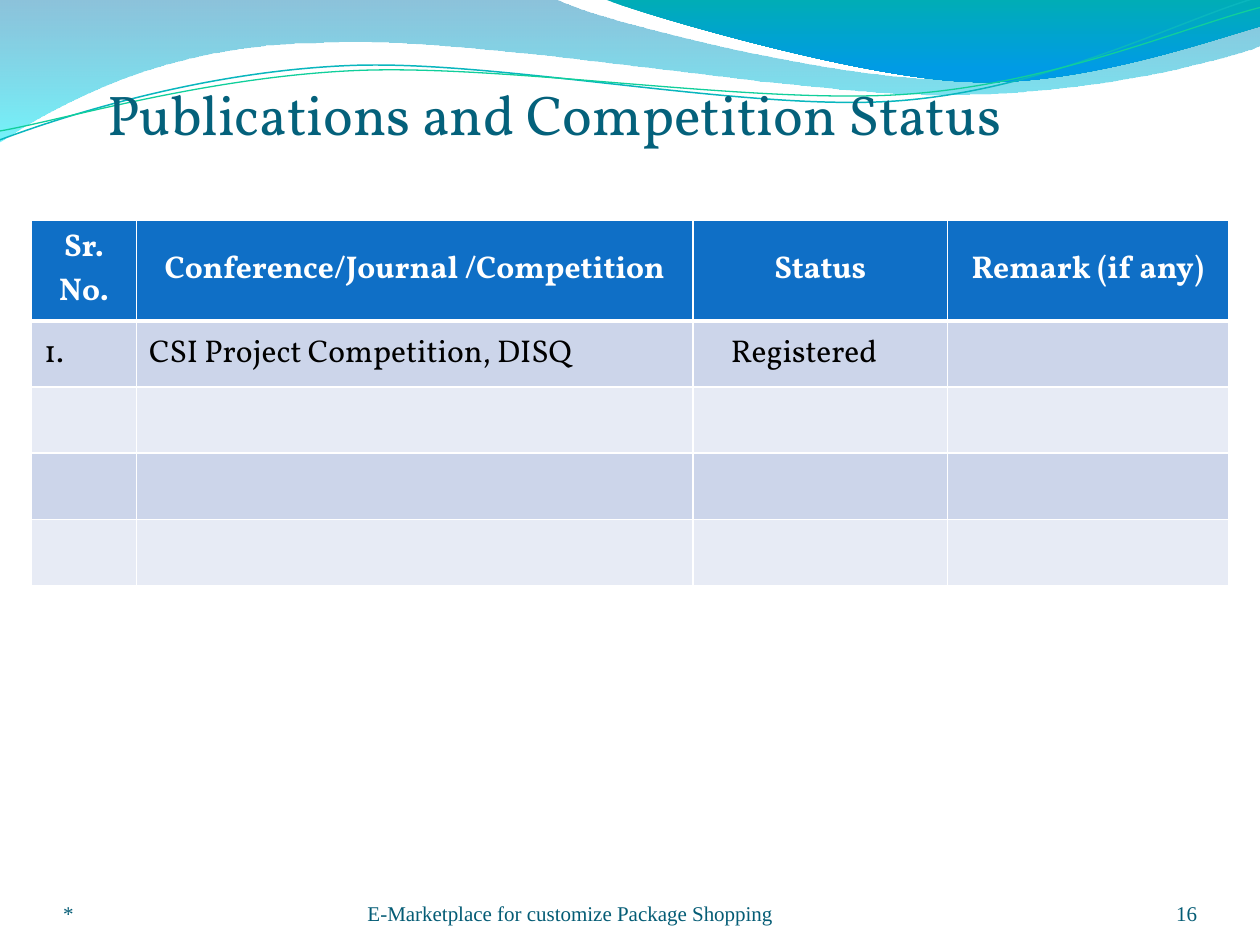
import math
from dataclasses import dataclass
from typing import Optional

from lxml import etree
from pptx import Presentation
from pptx.dml.color import RGBColor
from pptx.enum import text
from pptx.oxml.ns import qn
from pptx.util import Inches, Pt

WHITE, BLACK = RGBColor(255, 255, 255), RGBColor(0, 0, 0)
TITLE_TEAL = RGBColor(0x04, 0x61, 0x7B)
FOOTER_TEAL = RGBColor(0x04, 0x5C, 0x75)
HEADER_BLUE = RGBColor(0x0F, 0x6F, 0xC6)
BANDS = RGBColor(0xCC, 0xD5, 0xEA), RGBColor(0xE7, 0xEB, 0xF5)
SKY, AQUA = RGBColor(0x00, 0x79, 0xAF), RGBColor(0x00, 0xEB, 0xF8)
SEA, AZURE = RGBColor(0x00, 0xAD, 0xB6), RGBColor(0x00, 0x9B, 0xE5)
CYAN, GREEN = RGBColor(0x09, 0xB6, 0xBE), RGBColor(0x10, 0xCF, 0x9B)
BODY_FONT, FOOTER_FONT = "Vollkorn", "Times New Roman"
COLUMNS, ROWS = 120, 90  # slide grid, twelve units to the inch


@dataclass
class Stop:
    position: float
    color: RGBColor
    opacity: int = 100


@dataclass
class Wave:
    """Points in inches; a 2-tuple is a line, a 6-tuple a Bezier curve."""
    start: tuple
    segments: list
    stops: tuple = ()
    line: Optional[RGBColor] = None
    width: float = 0
    tilt: float = 0
    center: tuple = (0, 0)


@dataclass
class FooterItem:
    words: str
    left: float
    width: float
    align: text.PP_ALIGN = text.PP_ALIGN.LEFT


WAVES = [
    Wave((0, -0.01), [
        (4.4, -0.01), (4.76, 0.17, 6.64, 0.63, 7.58, 0.63),
        (8.53, 0.63, 9.58, 0.26, 10, 0.09), (10.01, 0.36),
        (9.83, 0.44, 8.7, 0.76, 7.46, 0.75), (6.22, 0.75, 3.82, 0.28, 2.57, 0.34),
        (1.29, 0.35, 0.46, 0.83, -0.01, 1.13), (0, -0.01)],
        stops=(Stop(0, SKY, 45), Stop(1, AQUA, 55))),
    Wave((4.79, -0.01), [
        (5.09, 0.11, 6.82, 0.62, 7.69, 0.65), (8.56, 0.69, 9.61, 0.32, 10, 0.21),
        (10, 0), (4.79, -0.01)],
        stops=(Stop(0, SEA), Stop(0.8, AZURE))),
    Wave((0, 1.11), [
        (0.48, 0.93, 1.58, 0.57, 2.77, 0.52), (3.95, 0.47, 5.93, 0.89, 7.13, 0.8),
        (8.33, 0.71, 9.38, 0.15, 9.98, -0.02)],
        line=CYAN, width=0.85, tilt=-2.7, center=(4.99, 0.57)),
    Wave((0, 1.04), [
        (0.47, 0.96, 1.64, 0.61, 2.83, 0.56), (4.03, 0.51, 5.97, 0.83, 7.17, 0.75),
        (8.36, 0.67, 9.41, 0.21, 10, 0.06)],
        line=GREEN, width=0.75, tilt=-2.7, center=(5, 0.59)),
]
FOOTER = [
    FooterItem("*", 6, 28),
    FooterItem("E-Marketplace for customize Package Shopping", 35, 44),
    FooterItem("16", 104, 10, text.PP_ALIGN.RIGHT),
]
COLUMN_WIDTHS = 10, 53, 24.25, 26.75
ROW_HEIGHTS = 8.4, 6.3, 6.3, 6.3, 6.3
TABLE_FRAME = 3.28
HEADINGS = "Sr. No.", "Conference/Journal /Competition", "Status", "Remark (if any)"
ENTRY = "1.", "CSI Project Competition, DISQ", "Registered", ""
STATUS_COLUMN = 2


def units(count: float) -> int:
    return Inches(count / 12)


def add_run(paragraph, words: str, font: str, size: float, color: RGBColor,
            bold: bool = False) -> None:
    run = paragraph.add_run()
    run.text = words
    run.font.name, run.font.size, run.font.bold = font, Pt(size), bold
    run.font.color.rgb = color


def level_points(wave: Wave) -> list:
    """All points of the wave, turned back by its tilt."""
    flat = [value for segment in (wave.start, *wave.segments) for value in segment]
    angle = math.radians(-wave.tilt)
    cx, cy = wave.center
    points = []
    for x, y in zip(flat[::2], flat[1::2]):
        dx, dy = x - cx, y - cy
        points.append((Inches(cx + dx * math.cos(angle) - dy * math.sin(angle)),
                       Inches(cy + dx * math.sin(angle) + dy * math.cos(angle))))
    return points


def bend(shape, segments: list) -> None:
    """Join each curve's three straight steps into one Bezier step."""
    steps = iter(list(shape._element.iter(qn("a:lnTo"))))
    for segment in segments:
        parts = [next(steps) for _ in range(len(segment) // 2)]
        if len(parts) == 3:
            curve = etree.Element(qn("a:cubicBezTo"))
            parts[0].addprevious(curve)
            for part in parts:
                curve.append(part[0])
                part.getparent().remove(part)


def draw_wave(slide, wave: Wave) -> None:
    first, *rest = level_points(wave)
    builder = slide.shapes.build_freeform(*first)
    builder.add_line_segments(rest, close=bool(wave.stops))
    shape = builder.convert_to_shape()
    bend(shape, wave.segments)
    shape.shadow.inherit = False
    shape.rotation = wave.tilt % 360
    if not wave.stops:
        shape.fill.background()
        shape.line.color.rgb, shape.line.width = wave.line, Pt(wave.width)
        return
    shape.line.fill.background()
    shape.fill.gradient()
    shape.fill.gradient_angle = 270
    for target, stop in zip(shape.fill.gradient_stops, wave.stops):
        target.position, target.color.rgb = stop.position, stop.color
    for color, stop in zip(shape._element.spPr.iter(qn("a:srgbClr")), wave.stops):
        etree.SubElement(color, qn("a:alpha"), val=str(stop.opacity * 1000))


def place_title(slide) -> None:
    title = slide.shapes.title
    title.left, title.top, title.width, title.height = map(units, (9, 7, 100, 7.7))
    frame = title.text_frame
    frame.word_wrap, frame.auto_size = True, text.MSO_AUTO_SIZE.NONE
    frame.vertical_anchor = text.MSO_ANCHOR.TOP
    frame.paragraphs[0].alignment = text.PP_ALIGN.LEFT
    add_run(frame.paragraphs[0], "Publications and Competition Status",
            BODY_FONT, 32, TITLE_TEAL)
    title._element.getparent().append(title._element)  # in front of the waves


def draw_footer_item(slide, item: FooterItem) -> None:
    box = slide.shapes.add_textbox(*map(units, (item.left, 83.4, item.width, 4.8)))
    frame = box.text_frame
    frame.word_wrap, frame.vertical_anchor = True, text.MSO_ANCHOR.BOTTOM
    frame.margin_left = frame.margin_right = frame.margin_top = frame.margin_bottom = 0
    frame.paragraphs[0].alignment = item.align
    add_run(frame.paragraphs[0], item.words, FOOTER_FONT, 12, FOOTER_TEAL)


def set_borders(cell, top: float, bottom: float) -> None:
    properties = cell._tc.get_or_add_tcPr()
    sides = {"lnL": 1, "lnR": 1, "lnT": top, "lnB": bottom}
    for index, (side, width) in enumerate(sides.items()):
        border = etree.Element(qn(f"a:{side}"), w=str(Pt(width)))
        fill = etree.SubElement(border, qn("a:solidFill"))
        etree.SubElement(fill, qn("a:srgbClr"), val=str(WHITE))
        properties.insert(index, border)


def draw_table(slide) -> None:
    frame = slide.shapes.add_table(len(ROW_HEIGHTS), len(COLUMN_WIDTHS), units(3),
                                   units(21), Inches(TABLE_FRAME), Inches(TABLE_FRAME))
    table = frame.table
    for column, width in zip(table.columns, COLUMN_WIDTHS):
        column.width = units(width)
    for number, (row, height) in enumerate(zip(table.rows, ROW_HEIGHTS)):
        row.height = units(height)
        header = number == 0
        words = {0: HEADINGS, 1: ENTRY}.get(number, ("",) * len(COLUMN_WIDTHS))
        for cell, content in zip(row.cells, words):
            cell.fill.solid()
            cell.fill.fore_color.rgb = HEADER_BLUE if header else BANDS[(number - 1) % 2]
            cell.vertical_anchor = text.MSO_ANCHOR.MIDDLE
            set_borders(cell, 3 if number == 1 else 1, 3 if header else 1)
            if content:
                paragraph = cell.text_frame.paragraphs[0]
                paragraph.alignment = text.PP_ALIGN.CENTER if header else text.PP_ALIGN.LEFT
                add_run(paragraph, content, BODY_FONT, 18, WHITE if header else BLACK, header)
    table.cell(1, STATUS_COLUMN).margin_left = units(3.6)
    frame.width = frame.height = Inches(TABLE_FRAME)


def main() -> None:
    deck = Presentation()
    deck.slide_width, deck.slide_height = units(COLUMNS), units(ROWS)
    slide = deck.slides.add_slide(deck.slide_layouts[5])
    for wave in WAVES:
        draw_wave(slide, wave)
    for item in FOOTER:
        draw_footer_item(slide, item)
    place_title(slide)
    draw_table(slide)
    deck.save("out.pptx")


if __name__ == "__main__":
    main()
